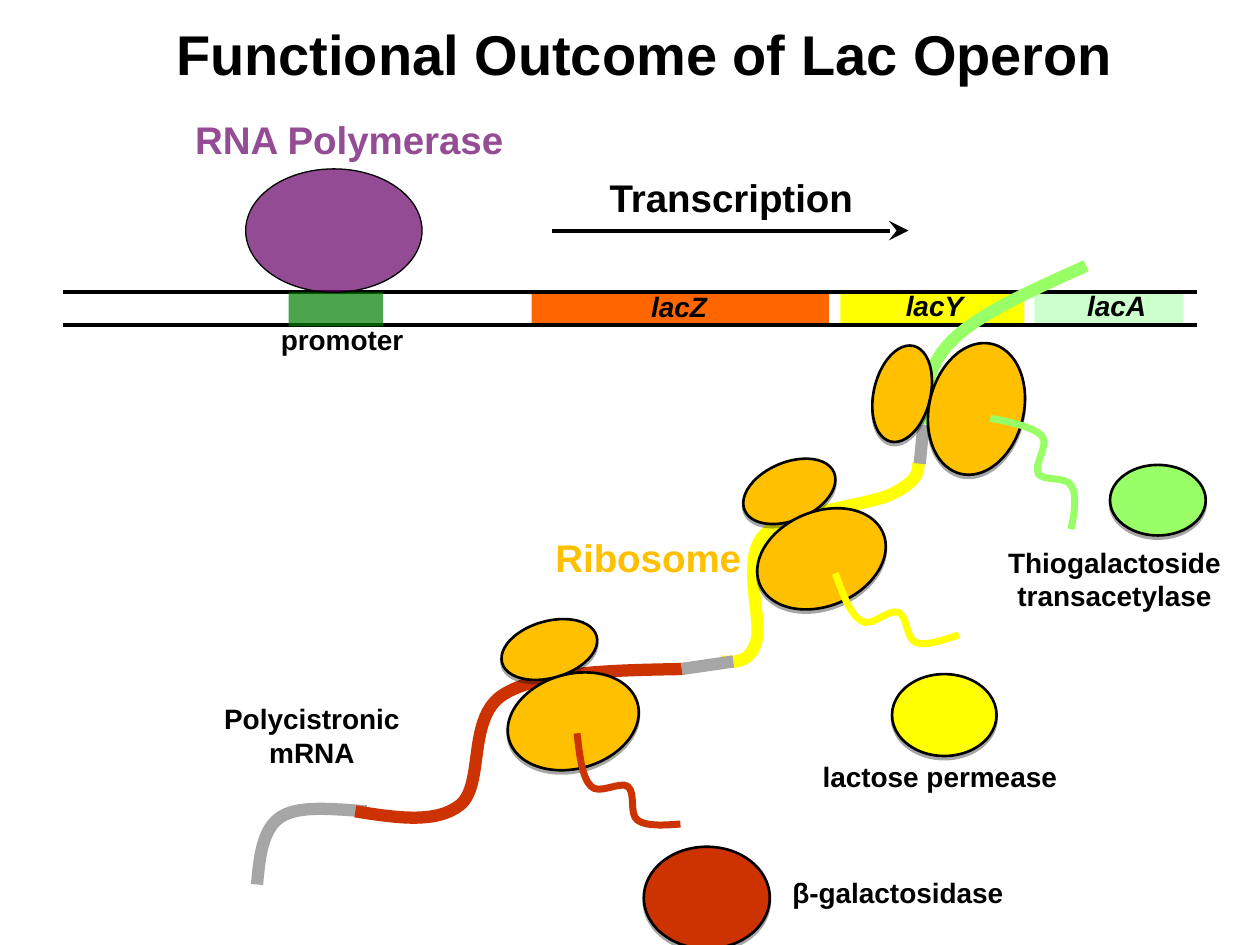
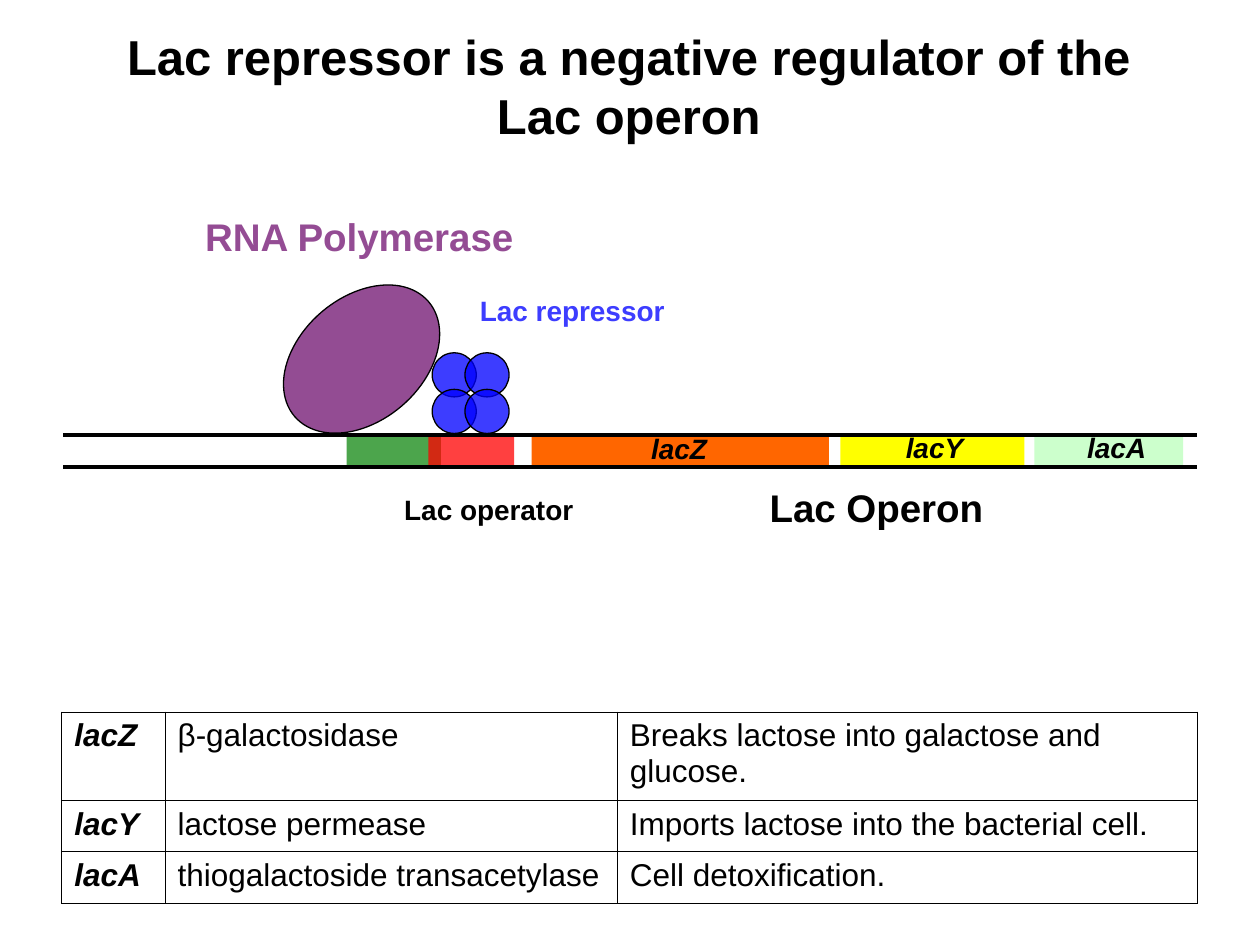
"""Build two slides on the lac operon: its products and its negative regulator."""
from lxml import etree
from pptx import Presentation
from pptx.dml.color import RGBColor
from pptx.enum.shapes import MSO_CONNECTOR, MSO_SHAPE
from pptx.enum.text import MSO_ANCHOR, MSO_AUTO_SIZE, PP_ALIGN
from pptx.oxml.ns import qn
from pptx.util import Emu, Pt

RECTANGLE, ELLIPSE = MSO_SHAPE.RECTANGLE, MSO_SHAPE.OVAL
STRAIGHT = MSO_CONNECTOR.STRAIGHT
LEFT, CENTER = PP_ALIGN.LEFT, PP_ALIGN.CENTER
TOP, MIDDLE = MSO_ANCHOR.TOP, MSO_ANCHOR.MIDDLE
GROW, FIXED = MSO_AUTO_SIZE.SHAPE_TO_FIT_TEXT, MSO_AUTO_SIZE.NONE

PX = 9144
FONT = "Arial"
SMALL, CELL, LARGE = 16, 18, 22
COLORS = {
    "black": "000000", "lacZ": "FF6600", "lacY": "FFFF00", "lacA": "CCFFCC",
    "promoter": "008000", "operator": "FF0000", "repressor": "0000FF",
    "repressor text": "3D3DFF", "polymerase": "660066", "polymerase text": "944C94",
    "ribosome": "FFC000", "spacer": "A6A6A6", "galactosidase": "CC3300",
    "permease": "FFFF00", "transacetylase": "99FF66",
}

DNA_LEFT, DNA_RIGHT, DNA_HEIGHT = 50, 950, 27
GENES = [
    ("lacZ", 422, 236, (507, -7, 66, 37)),
    ("lacY", 667, 146, (709, -8, 68, 37)),
    ("lacA", 821, 118, (853, -8, 69, 37)),
]

OUTCOME_DNA = 232
OUTCOME_LABELS = [
    ("Functional Outcome of Lac Operon", (130, 11, 766, 64), 32, "black"),
    ("RNA Polymerase", (145, 87, 268, 47), LARGE, "polymerase text"),
    ("Transcription", (474, 133, 217, 47), LARGE, "black"),
    ("promoter", (213, 251, 119, 37), SMALL, "black"),
    ("Polycistronic\nmRNA", (168, 552, 159, 64), SMALL, "black"),
    ("Ribosome", (431, 419, 170, 47), LARGE, "ribosome"),
    ("β-galactosidase", (619, 690, 190, 37), SMALL, "black"),
    ("lactose permease", (643, 598, 208, 37), SMALL, "black"),
    ("Thiogalactoside\ntransacetylase", (790, 428, 189, 64), SMALL, "black"),
]
MRNA_CURVES = [
    ("spacer", [(204, 702), (206, 681), (208, 659), (222, 649),
                (236, 639), (263, 642), (291, 644)]),
    ("galactosidase", [(282, 644), (314, 649), (346, 654), (365, 639), (385, 623),
                       (370, 569), (400, 551), (430, 533), (486, 532), (543, 531)]),
    ("permease", [(572, 525), (583, 526), (595, 526), (600, 510), (606, 493),
                  (588, 445), (606, 425), (624, 406), (687, 402), (708, 392),
                  (728, 382), (729, 375), (729, 367)]),
    ("spacer", [(541, 531), (582, 525)]),
    ("spacer", [(730, 368), (733, 337)]),
    ("transacetylase", [(733, 337), (734, 313), (735, 290), (757, 269),
                        (779, 248), (820, 230), (862, 211)]),
]
PEPTIDE_CURVES = [
    ("galactosidase", [(458, 582), (460, 600), (462, 617), (469, 624), (475, 631),
                       (492, 620), (498, 624), (505, 629), (499, 646), (506, 651),
                       (513, 656), (527, 655), (540, 654)]),
    ("permease", [(663, 455), (669, 472), (675, 488), (684, 493), (692, 498),
                  (705, 483), (713, 486), (720, 488), (719, 507), (727, 510),
                  (735, 513), (748, 508), (761, 504)]),
    ("transacetylase", [(786, 332), (803, 335), (820, 339), (827, 346), (833, 353),
                        (820, 369), (824, 376), (828, 382), (846, 378), (850, 385),
                        (855, 393), (853, 406), (850, 420)]),
]
RIBOSOMES = [
    ((397, 493, 78, 45), 344), ((402, 535, 106, 75), 344.3),
    ((588, 367, 77, 46), 337.1), ((599, 406, 106, 75), 337.4),
    ((677, 290, 78, 45), 283.4), ((722, 287, 106, 75), 283.7),
]
PROTEINS = [
    ("galactosidase", (511, 672, 100, 81)),
    ("permease", (708, 535, 83, 65)),
    ("transacetylase", (881, 369, 76, 56)),
]

REPRESSOR_DNA = 345
REPRESSOR_TITLE = "Lac repressor is a negative regulator of the Lac operon"
REPRESSOR_LABELS = [
    ("Lac operator", (311, 386, 156, 37), SMALL, "black"),
    ("Lac repressor", (371, 228, 169, 37), SMALL, "repressor text"),
    ("Lac Operon", (601, 379, 192, 47), LARGE, "black"),
    ("RNA Polymerase", (153, 164, 268, 47), LARGE, "polymerase text"),
]
FUNCTIONS = [
    ("lacZ", "β-galactosidase", "Breaks lactose into galactose and glucose."),
    ("lacY", "lactose permease", "Imports lactose into the bacterial cell."),
    ("lacA", "thiogalactoside transacetylase", "Cell detoxification."),
]
COLUMN_WIDTHS, ROW_HEIGHTS = (82, 359, 460), (70, 41, 41)


def px(*lengths):
    return [Emu(length * PX) for length in lengths]


def rgb(name):
    return RGBColor.from_string(COLORS[name])


def write(frame, text, size=SMALL, color="black", bold=True, italic=False, align=LEFT):
    for index, line in enumerate(text.split("\n")):
        paragraph = frame.add_paragraph() if index else frame.paragraphs[0]
        paragraph.alignment = align
        run = paragraph.add_run()
        run.text = line
        font = run.font
        font.name, font.size, font.bold, font.italic = FONT, Pt(size), bold, italic
        font.color.rgb = rgb(color)


def add_label(slide, text, box, wrap=False, anchor=TOP, **text_format):
    frame = slide.shapes.add_textbox(*px(*box)).text_frame
    frame.word_wrap = wrap
    frame.auto_size = FIXED if wrap else GROW
    frame.vertical_anchor = anchor
    write(frame, text, **text_format)


def add_labels(slide, labels):
    for text, box, size, color in labels:
        align = CENTER if "\n" in text else LEFT
        add_label(slide, text, box, size=size, color=color, align=align)


def add_figure(slide, kind, box, color, opacity=100, outline=0, rotation=0, shadow=False):
    shape = slide.shapes.add_shape(kind, *px(*box))
    shape.rotation = rotation
    shape.shadow.inherit = False
    shape.fill.solid()
    shape.fill.fore_color.rgb = rgb(color)
    if opacity < 100:
        fill_color = shape.element.spPr.find(qn("a:solidFill"))[0]
        etree.SubElement(fill_color, qn("a:alpha"), val=str(opacity * 1000))
    if outline:
        shape.line.color.rgb = rgb("black")
        shape.line.width = Pt(outline)
    else:
        shape.line.fill.background()
    if shadow:
        effects = shape.element.spPr.find(qn("a:effectLst"))
        outer = etree.SubElement(effects, qn("a:outerShdw"), blurRad="0",
                                 dist=str(Pt(1.8)), dir="5400000", rotWithShape="0")
        tint = etree.SubElement(outer, qn("a:srgbClr"), val=COLORS["black"])
        etree.SubElement(tint, qn("a:alpha"), val="35000")


def add_line(slide, left, right, y, arrow=False):
    connector = slide.shapes.add_connector(STRAIGHT, *px(left, y, right, y))
    connector.line.color.rgb = rgb("black")
    connector.line.width = Pt(2.25)
    properties = connector.element.spPr
    etree.SubElement(properties, qn("a:effectLst"))
    if arrow:
        etree.SubElement(properties.find(qn("a:ln")), qn("a:tailEnd"),
                         type="stealth", w="lg", len="lg")


def add_curve(slide, color, points, width):
    builder = slide.shapes.build_freeform(*points[0], scale=PX)
    builder.add_line_segments(points[1:], close=False)
    shape = builder.convert_to_shape()
    shape.shadow.inherit = False
    shape.fill.background()
    shape.line.color.rgb = rgb(color)
    shape.line.width = Pt(width)
    outline = shape.element.find(".//" + qn("a:path"))
    steps = outline.findall(qn("a:lnTo"))
    if len(steps) < 3:
        return
    for start in range(0, len(steps), 3):
        bezier = etree.SubElement(outline, qn("a:cubicBezTo"))
        for step in steps[start:start + 3]:
            bezier.append(step[0])
            outline.remove(step)


def add_dna(slide, top):
    for gene, left, width, _ in GENES:
        add_figure(slide, RECTANGLE, (left, top, width, DNA_HEIGHT), gene)
    for gene, _, _, (left, offset, width, height) in GENES:
        add_label(slide, gene, (left, top + offset, width, height), italic=True)
    for y in (top, top + DNA_HEIGHT - 1):
        add_line(slide, DNA_LEFT, DNA_RIGHT, y)


def add_promoter(slide, left, top):
    add_figure(slide, RECTANGLE, (left, top, 75, DNA_HEIGHT), "promoter", opacity=70)


def add_polymerase(slide, left, top, rotation=0):
    add_figure(slide, ELLIPSE, (left, top, 140, 98), "polymerase",
               opacity=70, outline=0.75, rotation=rotation)


def add_function_table(slide):
    box = px(49, 565, sum(COLUMN_WIDTHS), sum(ROW_HEIGHTS))
    frame = slide.shapes.add_table(len(FUNCTIONS), len(COLUMN_WIDTHS), *box)
    table = frame.table
    table.first_row = table.horz_banding = False
    for column, width in zip(table.columns, px(*COLUMN_WIDTHS)):
        column.width = width
    for row, height, texts in zip(table.rows, px(*ROW_HEIGHTS), FUNCTIONS):
        row.height = height
        for index, (cell, text) in enumerate(zip(row.cells, texts)):
            cell.fill.background()
            write(cell.text_frame, text, size=CELL, bold=index == 0, italic=index == 0)
    for properties in frame.element.iter(qn("a:tcPr")):
        for index, side in enumerate("LRTB"):
            border = etree.Element(qn("a:ln" + side), w=str(Pt(0.45)))
            fill = etree.SubElement(border, qn("a:solidFill"))
            etree.SubElement(fill, qn("a:srgbClr"), val=COLORS["black"])
            properties.insert(index, border)


def build_outcome(slide):
    add_dna(slide, OUTCOME_DNA)
    add_promoter(slide, 229, OUTCOME_DNA)
    add_line(slide, 438, 721, 183, arrow=True)
    for color, points in MRNA_CURVES:
        add_curve(slide, color, points, width=7)
    add_polymerase(slide, 195, 134)
    for box, rotation in RIBOSOMES:
        add_figure(slide, ELLIPSE, box, "ribosome", outline=1.5,
                   rotation=rotation, shadow=True)
    for color, points in PEPTIDE_CURVES:
        add_curve(slide, color, points, width=4)
    for color, box in PROTEINS:
        add_figure(slide, ELLIPSE, box, color, outline=1.5, shadow=True)
    add_labels(slide, OUTCOME_LABELS)


def build_repressor(slide):
    add_promoter(slide, 275, REPRESSOR_DNA)
    add_figure(slide, RECTANGLE, (340, REPRESSOR_DNA, 68, DNA_HEIGHT),
               "operator", opacity=75)
    for top in (280, 309):
        for left in (343, 369):
            add_figure(slide, ELLIPSE, (left, top, 35, 35), "repressor",
                       opacity=76, outline=0.75)
    add_dna(slide, REPRESSOR_DNA)
    add_polymerase(slide, 217, 236, rotation=319.4)
    add_labels(slide, REPRESSOR_LABELS)
    add_label(slide, REPRESSOR_TITLE, (55, 5, 888, 125), wrap=True, anchor=MIDDLE,
              size=28, align=CENTER)
    add_function_table(slide)


def main():
    presentation = Presentation()
    presentation.slide_width, presentation.slide_height = px(1000, 750)
    for build in (build_outcome, build_repressor):
        build(presentation.slides.add_slide(presentation.slide_layouts[6]))
    presentation.save("out.pptx")


if __name__ == "__main__":
    main()
